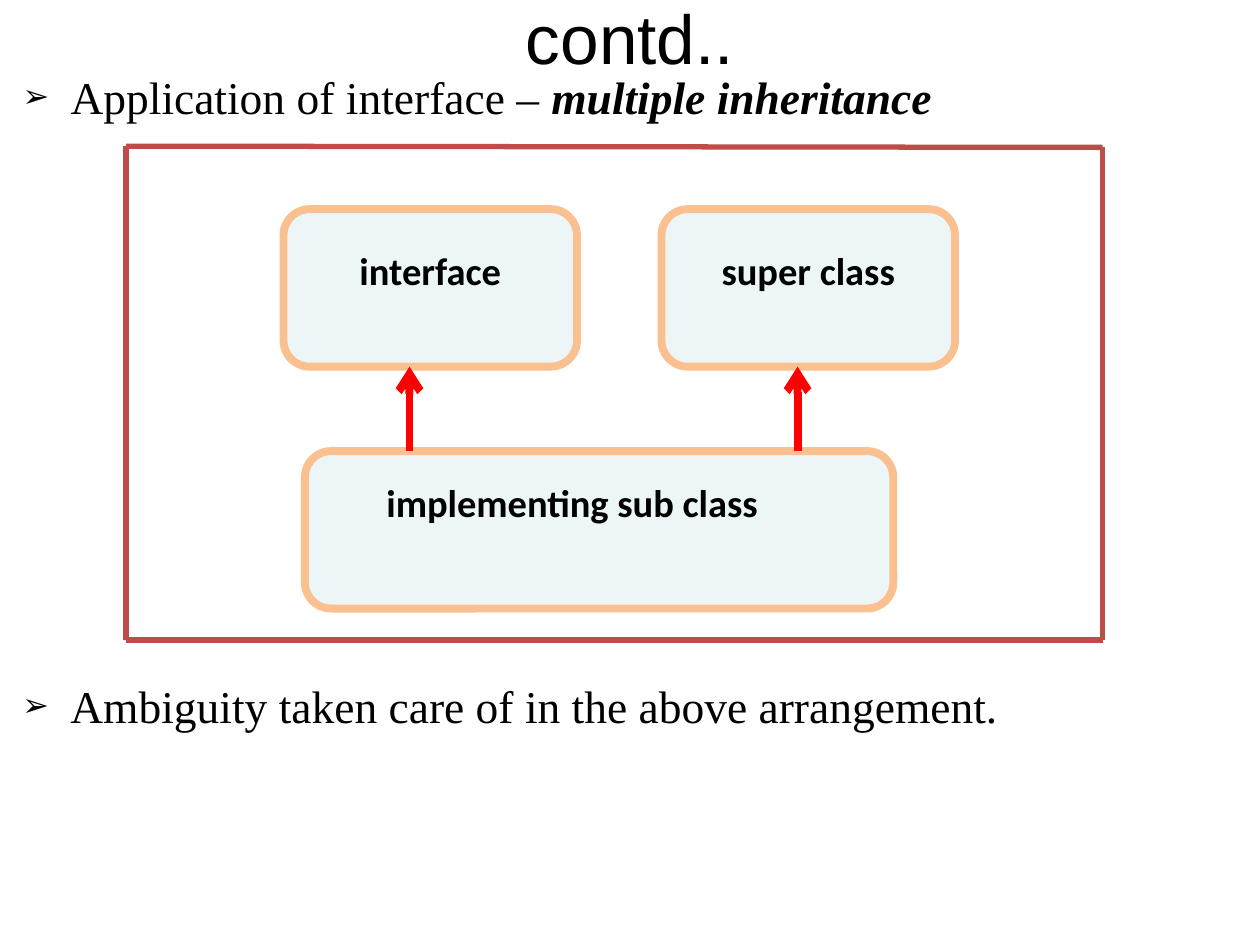
from lxml import etree
from pptx import Presentation
from pptx.dml.color import RGBColor
from pptx.enum import shapes, text
from pptx.oxml.ns import qn
from pptx.util import Inches, Pt

COLORS = {"ink": "000000", "box": "BBE0E3", "border": "FAC090",
          "frame": "BF4C48", "arrow": "FF0000"}

# Content
TITLE = "contd.."
APPLICATION = [("Application of interface – ", False), ("multiple inheritance", True)]
AMBIGUITY = [("Ambiguity taken care of in the above arrangement.", False)]

# Class boxes: left, top, width; then label: text, left, top, width
BOX_HEIGHT, LABEL_HEIGHT = 1.25, 0.47
BOXES = [
    ((2.25, 1.66, 2.33), ("interface", 2.33, 1.91, 2.17)),
    ((5.25, 1.66, 2.33), ("super class", 5.33, 1.91, 2.17)),
    ((2.42, 3.58, 4.67), ("implementing sub class", 2.33, 3.75, 4.42)),
]
FRAME_CORNERS = [(1, 1.16), (8.75, 1.17), (8.75, 5.08), (1, 5.08)]
ARROW_CENTERS = [3.25, 6.33]
ARROW_BOTTOM, ARROW_TOP = 3.58, 2.91


def color(name):
    return RGBColor.from_string(COLORS[name])


def inches(*values):
    return [Inches(value) for value in values]


def set_font(paragraph, name, size, bold=False):
    font = paragraph.font
    font.name, font.size, font.bold = name, Pt(size), bold
    font.color.rgb = color("ink")


def place(shape, *area):
    shape.left, shape.top, shape.width, shape.height = inches(*area)


def fill_bullet(shape, spans):
    frame = shape.text_frame
    frame.word_wrap = True
    frame.auto_size = text.MSO_AUTO_SIZE.NONE
    paragraph = frame.paragraphs[0]
    properties = paragraph._p.get_or_add_pPr()
    properties.set("marL", str(Inches(0.38)))
    properties.set("indent", str(-Inches(0.38)))
    paragraph.space_before = Pt(0)
    etree.SubElement(properties, qn("a:buSzPct"), val="70000")
    etree.SubElement(properties, qn("a:buFont"), typeface="Arial")
    etree.SubElement(properties, qn("a:buChar"), char="➢")
    set_font(paragraph, "Times New Roman", 26)
    for words, emphasis in spans:
        span = paragraph.add_run()
        span.text = words
        if emphasis:
            span.font.bold = span.font.italic = True


def add_line(page, start, end, color_name, width, arrow=False):
    line = page.shapes.add_connector(shapes.MSO_CONNECTOR.STRAIGHT, *inches(*start, *end))
    line.line.color.rgb = color(color_name)
    line.line.width = Pt(width)
    if arrow:
        etree.SubElement(line.line._get_or_add_ln(), qn("a:tailEnd"), type="arrow")
    etree.SubElement(line._element.spPr, qn("a:effectLst"))


def add_class_box(page, left, top, width):
    box = page.shapes.add_shape(shapes.MSO_SHAPE.ROUNDED_RECTANGLE,
                                *inches(left, top, width, BOX_HEIGHT))
    box.shadow.inherit = False
    box.fill.solid()
    box.fill.fore_color.rgb = color("box")
    tint = box._element.spPr.find(qn("a:solidFill"))[0]
    etree.SubElement(tint, qn("a:alpha"), val="26000")
    box.line.color.rgb = color("border")
    box.line.width = Pt(4.5)


def add_label(page, words, left, top, width):
    label = page.shapes.add_textbox(*inches(left, top, width, LABEL_HEIGHT))
    frame = label.text_frame
    frame.word_wrap = True
    frame.auto_size = text.MSO_AUTO_SIZE.SHAPE_TO_FIT_TEXT
    paragraph = frame.paragraphs[0]
    paragraph.text = words
    paragraph.alignment = text.PP_ALIGN.CENTER
    set_font(paragraph, "Calibri", 22, bold=True)


def main():
    deck = Presentation()
    deck.slide_width, deck.slide_height = inches(10, 7.5)
    page = deck.slides.add_slide(deck.slide_layouts[1])

    # Title and first bullet
    title, body = page.placeholders
    place(title, 0, 0.08, 10, 0.42)
    title.text_frame.text = TITLE
    title.text_frame.auto_size = text.MSO_AUTO_SIZE.NONE
    title.text_frame.vertical_anchor = text.MSO_ANCHOR.MIDDLE
    heading = title.text_frame.paragraphs[0]
    heading.alignment = text.PP_ALIGN.CENTER
    set_font(heading, "Arial", 39.6)
    place(body, 0.08, 0.5, 9.75, 0.42)
    fill_bullet(body, APPLICATION)

    # Class diagram: boxes, frame, arrows, labels
    for area, _ in BOXES:
        add_class_box(page, *area)
    for start, end in zip(FRAME_CORNERS, FRAME_CORNERS[1:] + FRAME_CORNERS[:1]):
        add_line(page, start, end, "frame", 3)
    for center in ARROW_CENTERS:
        add_line(page, (center, ARROW_BOTTOM), (center, ARROW_TOP), "arrow", 4.5, arrow=True)
    for _, label in BOXES:
        add_label(page, *label)

    # Closing bullet
    closing = page.shapes.add_textbox(*inches(0.08, 5.33, 9.75, 0.54))
    fill_bullet(closing, AMBIGUITY)

    deck.save("out.pptx")


if __name__ == "__main__":
    main()
